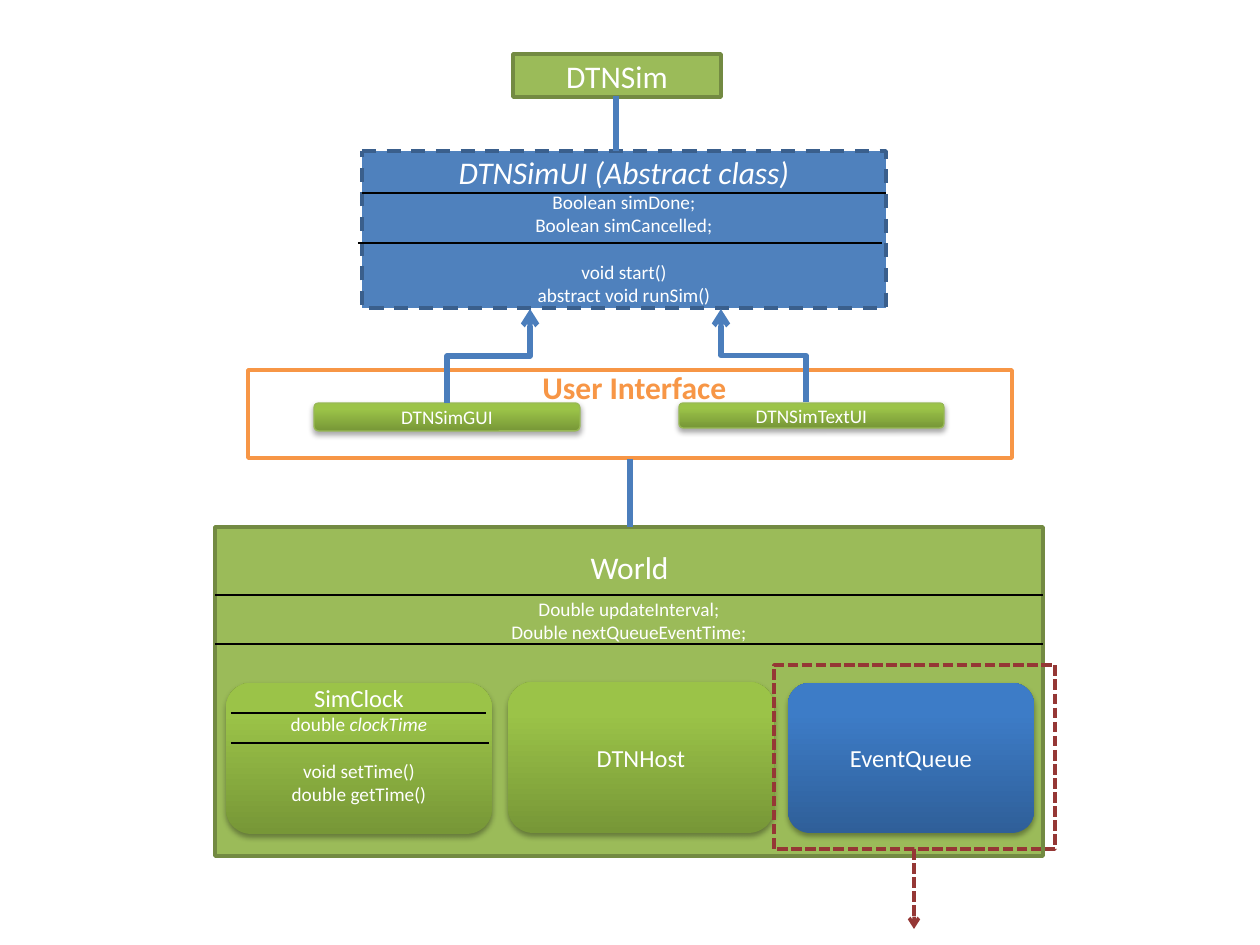
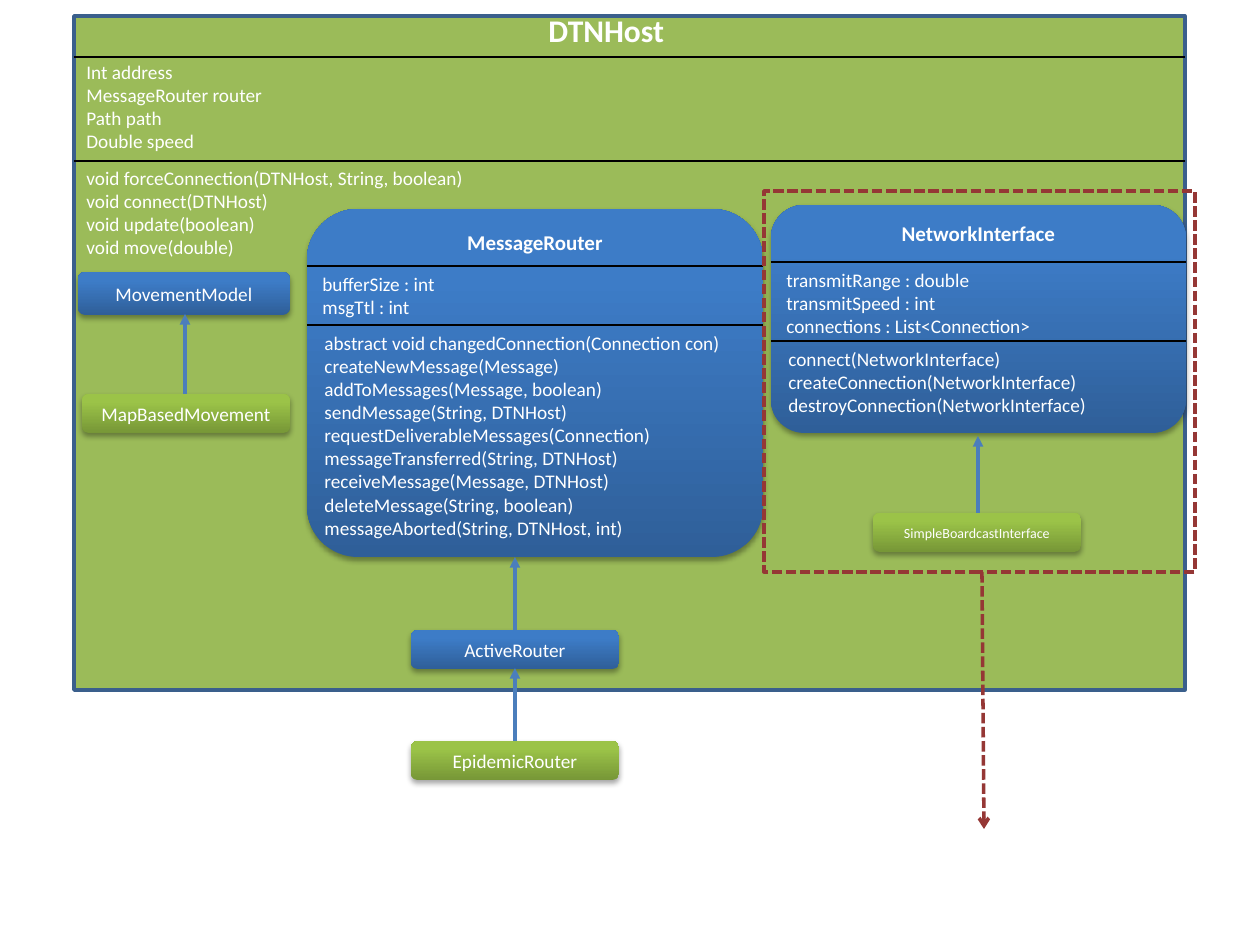
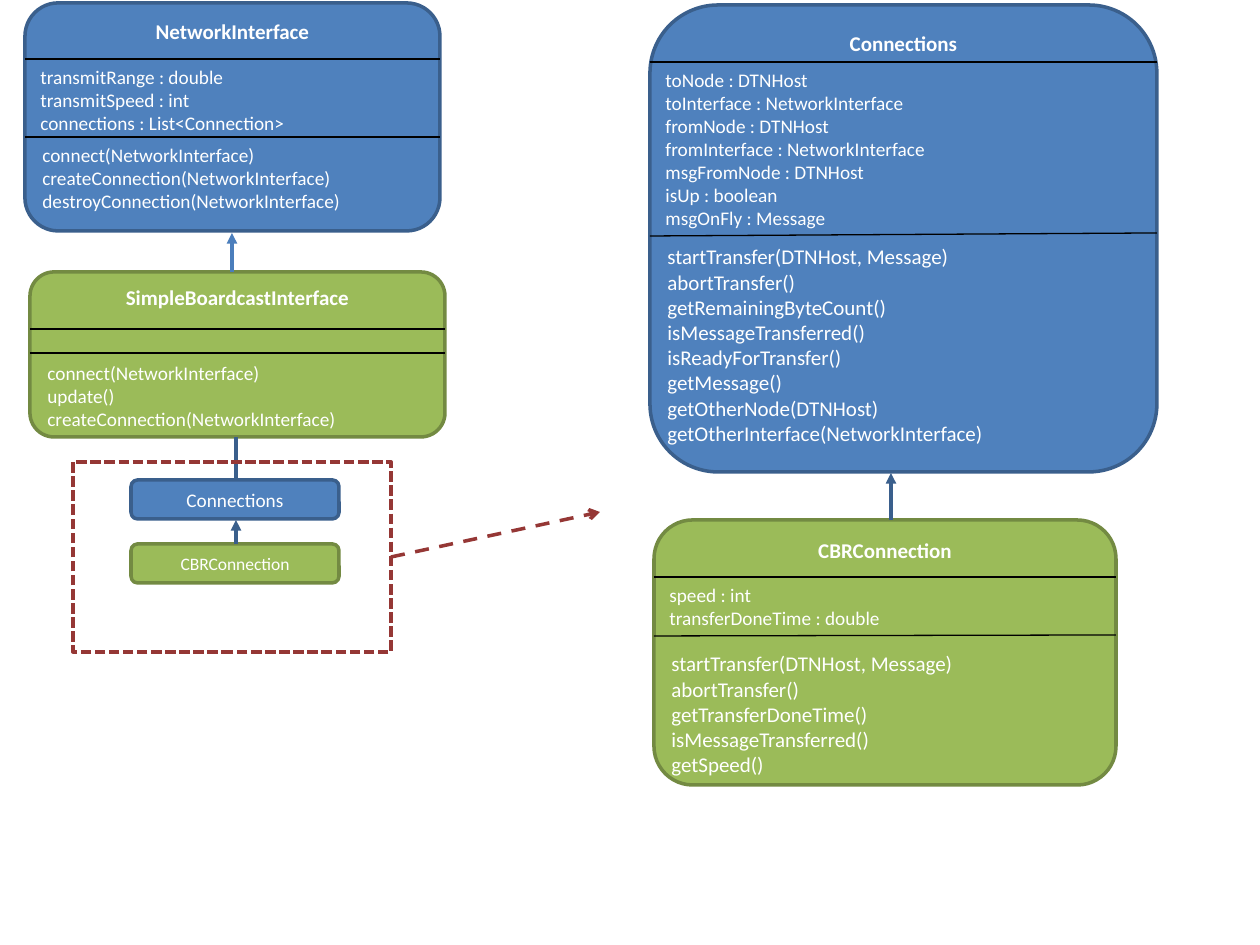
from lxml.etree import SubElement
from pptx import Presentation
from pptx.dml.color import RGBColor
from pptx.enum.dml import MSO_LINE
from pptx.enum.shapes import MSO_CONNECTOR, MSO_SHAPE
from pptx.enum.text import MSO_ANCHOR, PP_ALIGN
from pptx.oxml.ns import qn
from pptx.util import Emu, Pt

PX = 914400 / 126
FONT = "Calibri"
WHITE, BLACK, ORANGE = "FFFFFF", "000000", "F79646"
MAROON, STEEL, NAVY, OLIVE = "953735", "4B7EBC", "3A5F8C", "738A42"
GREEN, BLUE = "9BBB59", "4F81BD"
LIME, AZURE = ("779737", "9BC348"), ("2F5F99", "3D7CC7")
RECT, ROUND, PROCESS = MSO_SHAPE.RECTANGLE, MSO_SHAPE.ROUNDED_RECTANGLE, MSO_SHAPE.FLOWCHART_PROCESS
SMALL, LARGE = 11, 18
BLANK_LINE = 13.4
color = RGBColor.from_string


def box(slide, kind, frame, fill=None, edge=None, rows=(), weight=2, dash=None, ink=WHITE,
        bold=False, align=PP_ALIGN.CENTER, anchor=MSO_ANCHOR.MIDDLE, corner=None, insets=(6, 6)):
    left, top, width, height = [Emu(int(n * PX)) for n in frame]
    if kind is None:
        shape = slide.shapes.add_textbox(left, top, width, height)
    else:
        shape = slide.shapes.add_shape(kind, left, top, width, height)
        shape.shadow.inherit = False
        if corner:
            shape.adjustments[0] = corner
        if fill is None:
            shape.fill.background()
        elif isinstance(fill, tuple):
            shape.fill.gradient()
            shape.fill.gradient_angle = 90
            for stop, shade, position in zip(shape.fill.gradient_stops, fill, (0, 0.8)):
                stop.color.rgb = color(shade)
                stop.position = position
            effects = shape._element.spPr.find(qn("a:effectLst"))
            shadow = SubElement(effects, qn("a:outerShdw"), blurRad="40000", dist="23000",
                                dir="5400000", rotWithShape="0")
            shade = SubElement(shadow, qn("a:srgbClr"), val=BLACK)
            SubElement(shade, qn("a:alpha"), val="35000")
        else:
            shape.fill.solid()
            shape.fill.fore_color.rgb = color(fill)
        if edge:
            shape.line.color.rgb = color(edge)
            shape.line.width = Pt(weight)
            shape.line.dash_style = dash
        else:
            shape.line.fill.background()
    frame_text = shape.text_frame
    frame_text.word_wrap = True
    frame_text.vertical_anchor = anchor
    frame_text.margin_top, frame_text.margin_bottom = [Emu(int(n * PX)) for n in insets]
    for index, (text, size, gap) in enumerate(rows):
        paragraph = frame_text.add_paragraph() if index else frame_text.paragraphs[0]
        paragraph.alignment = align
        paragraph.space_before = Pt(gap)
        for part_index, part in enumerate(text.split("|")):
            if part:
                run = paragraph.add_run()
                run.text = part
                run.font.name = FONT
                run.font.size = Pt(size)
                run.font.bold = bold
                run.font.italic = part_index % 2 == 1
                run.font.color.rgb = color(ink)


def link(slide, start, end, ink=BLACK, weight=0.75, head=None, dash=None, elbow=False):
    (x1, y1), (x2, y2) = start, end
    kind = MSO_CONNECTOR.STRAIGHT
    if elbow:
        kind = MSO_CONNECTOR.ELBOW
        mid_x, mid_y, dx, dy = (x1 + x2) / 2, (y1 + y2) / 2, (x1 - x2) / 2, (y1 - y2) / 2
        x1, y1, x2, y2 = mid_x + dy, mid_y - dx, mid_x - dy, mid_y + dx
    connector = slide.shapes.add_connector(kind, *[Emu(int(n * PX)) for n in (x1, y1, x2, y2)])
    if elbow:
        connector._element.spPr.find(qn("a:xfrm")).set("rot", "5400000")
    connector.line.color.rgb = color(ink)
    connector.line.width = Pt(weight)
    connector.line.dash_style = dash
    if head:
        SubElement(connector.line._get_or_add_ln(), qn("a:tailEnd"), type=head)
    SubElement(connector._element.spPr, qn("a:effectLst"))


deck = Presentation()
deck.slide_width, deck.slide_height = Emu(9144000), Emu(6858000)
overview, host, network = [deck.slides.add_slide(deck.slide_layouts[6]) for _ in range(3)]

box(overview, PROCESS, (248, 370, 764, 88), WHITE, ORANGE)
box(overview, PROCESS, (513, 54, 208, 43), GREEN, OLIVE, [("DTNSim", LARGE, 0)])
box(overview, PROCESS, (362, 151, 524, 157), BLUE, NAVY, [
    ("|DTNSimUI (Abstract class)", LARGE, 0),
    ("Boolean simDone;", SMALL, 0),
    ("Boolean simCancelled;", SMALL, 0),
    ("void start()", SMALL, BLANK_LINE),
    ("abstract void runSim()", SMALL, 0),
], dash=MSO_LINE.DASH)
for name, frame in (("DTNSimGUI", (314, 403, 266, 28)), ("DTNSimTextUI", (679, 403, 265, 25))):
    box(overview, ROUND, frame, LIME, "98B955", [(name, SMALL, 0)], weight=0.75)
box(overview, None, (530, 362, 258, 50), rows=[("User Interface", LARGE, 0)], ink=ORANGE,
    bold=True, align=PP_ALIGN.LEFT, anchor=MSO_ANCHOR.TOP)
link(overview, (616, 96), (616, 151), STEEL, 3)
link(overview, (447, 403), (530, 309), STEEL, 3, "arrow", elbow=True)
link(overview, (806, 402), (721, 309), STEEL, 3, "arrow", elbow=True)

box(overview, PROCESS, (215, 527, 828, 329), GREEN, OLIVE, [
    ("Double updateInterval;", SMALL, 0),
    ("Double nextQueueEventTime;", SMALL, 0),
], anchor=MSO_ANCHOR.TOP, insets=(70, 6))
link(overview, (630, 459), (630, 527), STEEL, 3)
box(overview, None, (577, 542, 105, 50), rows=[("World", LARGE, 0)], anchor=MSO_ANCHOR.TOP)
box(overview, ROUND, (226, 683, 266, 151), LIME, rows=[
    ("SimClock", 14, 0),
    ("double |clockTime", SMALL, 0),
    ("void setTime()", SMALL, BLANK_LINE),
    ("double getTime()", SMALL, 0),
], insets=(0, 28))
box(overview, ROUND, (508, 682, 266, 151), LIME, rows=[("DTNHost", 14, 0)])
box(overview, ROUND, (788, 683, 246, 150), AZURE, rows=[("EventQueue", 14, 0)], corner=0.146)
for left, right, y in ((362, 886, 193), (358, 882, 243), (215, 1043, 595), (215, 1043, 644),
                       (231, 486, 713), (231, 489, 743)):
    link(overview, (left, y), (right, y))

box(host, RECT, (74, 16, 1111, 674), GREEN, NAVY)
box(host, None, (536, 5, 168, 50), rows=[("DTNHost", LARGE, 0)], bold=True,
    align=PP_ALIGN.LEFT, anchor=MSO_ANCHOR.TOP)
for y in (57, 161):
    link(host, (74, y), (1185, y))
host_lists = (
    (54, 250, ["Int address", "MessageRouter router", "Path path", "Double speed"]),
    (160, 506, ["void forceConnection(DTNHost, String, boolean)", "void connect(DTNHost)",
                "void update(boolean)", "void move(double)"]),
)
for top, width, members in host_lists:
    box(host, None, (74, top, width, 106), rows=[(member, SMALL, 0) for member in members],
        align=PP_ALIGN.LEFT, anchor=MSO_ANCHOR.TOP)

interface_fields = ["transmitRange : double", "transmitSpeed : int",
                    "connections : List<Connection>"]
interface_methods = ["connect(NetworkInterface)", "createConnection(NetworkInterface)",
                     "destroyConnection(NetworkInterface)"]
classes = (
    (host, "MessageRouter", (307, 209, 456, 348), AZURE, None, 266, (325, 325), 325, SMALL,
     ["bufferSize : int", "msgTtl : int"],
     ["abstract void changedConnection(Connection con)", "createNewMessage(Message)",
      "addToMessages(Message, boolean)", "sendMessage(String, DTNHost)",
      "requestDeliverableMessages(Connection)", "messageTransferred(String, DTNHost)",
      "receiveMessage(Message, DTNHost)", "deleteMessage(String, boolean)",
      "messageAborted(String, DTNHost, int)"]),
    (host, "NetworkInterface", (771, 205, 415, 228), AZURE, None, 262, (341, 341), 341, SMALL,
     interface_fields, interface_methods),
    (network, "NetworkInterface", (25, 3, 415, 228), BLUE, NAVY, 59, (137, 137), 137, SMALL,
     interface_fields, interface_methods),
    (network, "SimpleBoardcastInterface", (30, 272, 415, 165), GREEN, OLIVE, 329, (353, 353), 355,
     SMALL, [], ["connect(NetworkInterface)", "update()", "createConnection(NetworkInterface)"]),
    (network, "Connections", (650, 5, 507, 467), BLUE, NAVY, 62, (236, 233), 238, 12,
     ["toNode : DTNHost", "toInterface : NetworkInterface", "fromNode : DTNHost",
      "fromInterface : NetworkInterface", "msgFromNode : DTNHost", "isUp : boolean",
      "msgOnFly : Message"],
     ["startTransfer(DTNHost, Message)", "abortTransfer()", "getRemainingByteCount()",
      "isMessageTransferred()", "isReadyForTransfer()", "getMessage()",
      "getOtherNode(DTNHost)", "getOtherInterface(NetworkInterface)"]),
    (network, "CBRConnection", (654, 520, 462, 265), GREEN, OLIVE, 577, (636, 635), 645, 12,
     ["speed : int", "transferDoneTime : double"],
     ["startTransfer(DTNHost, Message)", "abortTransfer()", "getTransferDoneTime()",
      "isMessageTransferred()", "getSpeed()"]),
)
for (slide, name, frame, fill, edge, field_top, method_rule, method_top, method_size,
     fields, methods) in classes:
    left, top, width, height = frame
    box(slide, ROUND, frame, fill, edge, [(name, 12, 0)], bold=True, anchor=MSO_ANCHOR.TOP,
        corner=0.146)
    for offset, y, size, members in ((3, field_top, SMALL, fields),
                                     (5, method_top, method_size, methods)):
        if members:
            box(slide, None, (left + offset, y, width - 10, 12 + round(len(members) * size * 2.13)),
                rows=[(member, size, 0) for member in members],
                align=PP_ALIGN.LEFT, anchor=MSO_ANCHOR.TOP)
    for y1, y2 in ((field_top, field_top), method_rule):
        link(slide, (left, y1), (left + width, y2))

for slide, name, frame, fill, edge, size in (
    (host, "MovementModel", (78, 272, 212, 43), AZURE, None, SMALL),
    (host, "MapBasedMovement", (82, 394, 208, 39), LIME, None, SMALL),
    (host, "ActiveRouter", (411, 630, 208, 39), AZURE, None, SMALL),
    (host, "EpidemicRouter", (411, 741, 208, 39), LIME, None, SMALL),
    (host, "SimpleBoardcastInterface", (873, 513, 208, 39), LIME, None, 8),
    (network, "Connections", (131, 480, 208, 39), BLUE, NAVY, SMALL),
    (network, "CBRConnection", (131, 544, 208, 39), GREEN, OLIVE, 10),
):
    box(slide, ROUND, frame, fill, edge, [(name, size, 0)])

for slide, x, y1, y2, ink, head in (
    (host, 185, 394, 314, STEEL, "triangle"),
    (host, 515, 630, 557, STEEL, "triangle"),
    (host, 515, 741, 668, STEEL, "triangle"),
    (host, 978, 513, 436, STEEL, "triangle"),
    (network, 232, 272, 233, STEEL, "triangle"),
    (network, 236, 437, 480, NAVY, None),
    (network, 236, 544, 520, NAVY, "triangle"),
    (network, 891, 520, 473, NAVY, "triangle"),
):
    link(slide, (x, y1), (x, y2), ink, 2, head)

for slide, frame, start, end, dash in (
    (overview, (774, 665, 281, 184), (914, 849), (914, 929), MSO_LINE.SQUARE_DOT),
    (host, (764, 191, 431, 381), (982, 572), (984, 829), MSO_LINE.SQUARE_DOT),
    (network, (73, 462, 318, 190), (391, 557), (600, 512), MSO_LINE.DASH),
):
    box(slide, RECT, frame, edge=MAROON, dash=MSO_LINE.SQUARE_DOT)
    link(slide, start, end, MAROON, 2, "arrow", dash)

deck.save("out.pptx")
